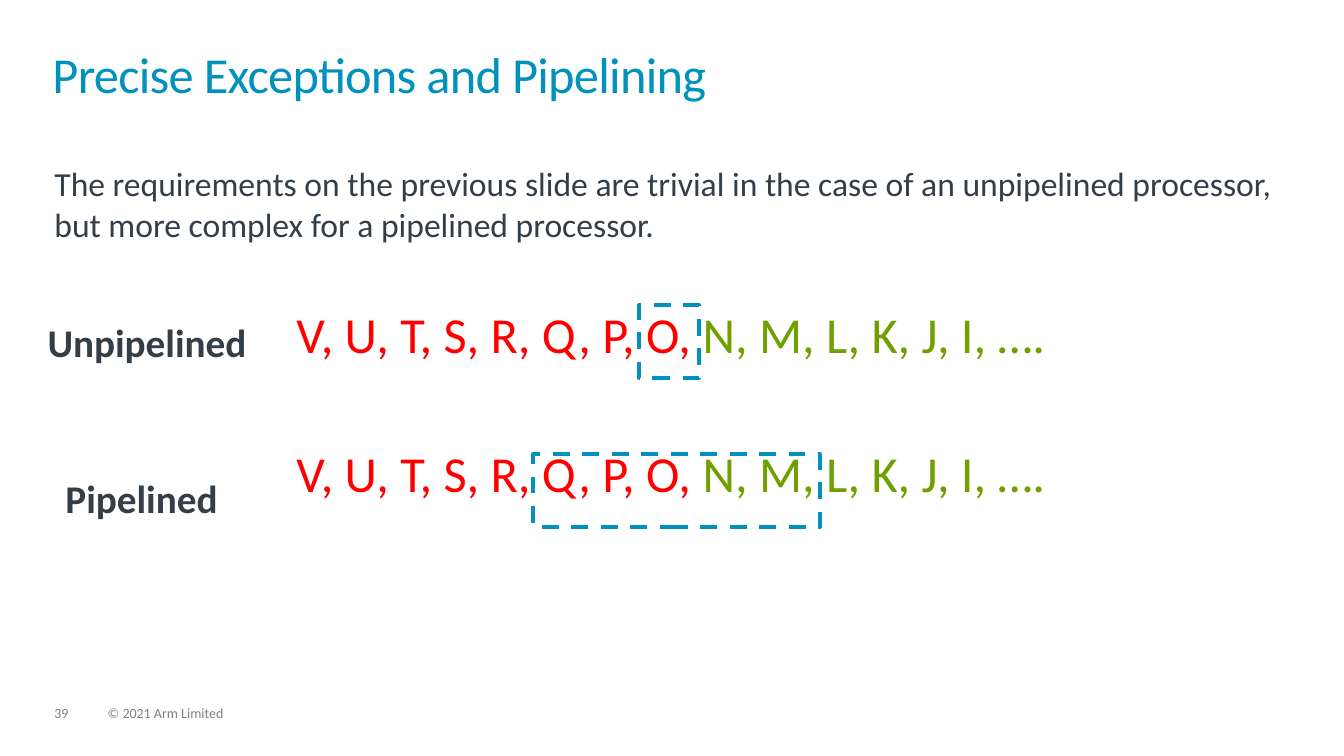
"""Build the slide on precise exceptions and pipelining."""
import pptx
import pptx.util
import pptx.dml.color
import pptx.enum.dml
import pptx.enum.shapes
import pptx.enum.text

Pt = pptx.util.Pt
COLOURS = {
    "accent": "0091BD",
    "text": "333E48",
    "footer": "7F7F7F",
    "pending": "FF0000",
    "completed": "70A000",
}
PENDING = "V, U, T, S, R, Q, P, O, "
COMPLETED = "N, M, L, K, J, I, …."


def colour(name):
    return pptx.dml.color.RGBColor.from_string(COLOURS[name])


def add_text(slide, box, pieces, size, bold=False, spacing=1.0, centred=False):
    frame = slide.shapes.add_textbox(*(Pt(length) for length in box)).text_frame
    frame.word_wrap = True
    frame.margin_left = frame.margin_right = 0
    frame.margin_top = frame.margin_bottom = 0
    paragraph = frame.paragraphs[0]
    paragraph.line_spacing = spacing
    if centred:
        paragraph.alignment = pptx.enum.text.PP_ALIGN.CENTER
    for words, colour_name in pieces:
        run = paragraph.add_run()
        run.text = words
        run.font.name = "Calibri"
        run.font.size = Pt(size)
        run.font.bold = bold
        run.font.color.rgb = colour(colour_name)
    return paragraph


def add_sequence(slide, top):
    pieces = [(PENDING, "pending"), (COMPLETED, "completed")]
    add_text(slide, (38.9, top, 880.6, 44), pieces, 36, centred=True)


def add_window(slide, left, top, width):
    window = slide.shapes.add_shape(
        pptx.enum.shapes.MSO_SHAPE.RECTANGLE, Pt(left), Pt(top), Pt(width), Pt(52))
    window.shadow.inherit = False
    window.fill.background()
    window.line.color.rgb = colour("accent")
    window.line.width = Pt(3)
    window.line.dash_style = pptx.enum.dml.MSO_LINE.DASH


def main():
    presentation = pptx.Presentation()
    presentation.slide_width = Pt(960)
    presentation.slide_height = Pt(540)
    slide = presentation.slides.add_slide(presentation.slide_layouts[6])

    title = add_text(slide, (37.5, 37.5, 884, 52),
                     [("Precise Exceptions and Pipelining", "accent")], 36, spacing=0.85)
    title.runs[0].font._element.set("spc", "-50")
    add_text(slide, (38.9, 116.6, 880.6, 60),
             [("The requirements on the previous slide are trivial in the case of an "
               "unpipelined processor, but more complex for a pipelined processor.", "text")], 24)

    for top in (216.5, 316):
        add_sequence(slide, top)
    add_window(slide, 456.5, 218, 43)
    add_window(slide, 381, 324.5, 204.5)

    for label, left, top in (("Unpipelined", 34, 231.5), ("Pipelined", 46.8, 342.7)):
        add_text(slide, (left, top, 160, 31), [(label, "text")], 28, bold=True, spacing=0.9)
    for words, left, width in (("39", 38.9, 24.5), ("© 2021 Arm Limited", 77, 365)):
        add_text(slide, (left, 504.7, width, 11), [(words, "footer")], 10, spacing=0.9)

    presentation.save("out.pptx")


if __name__ == "__main__":
    main()
